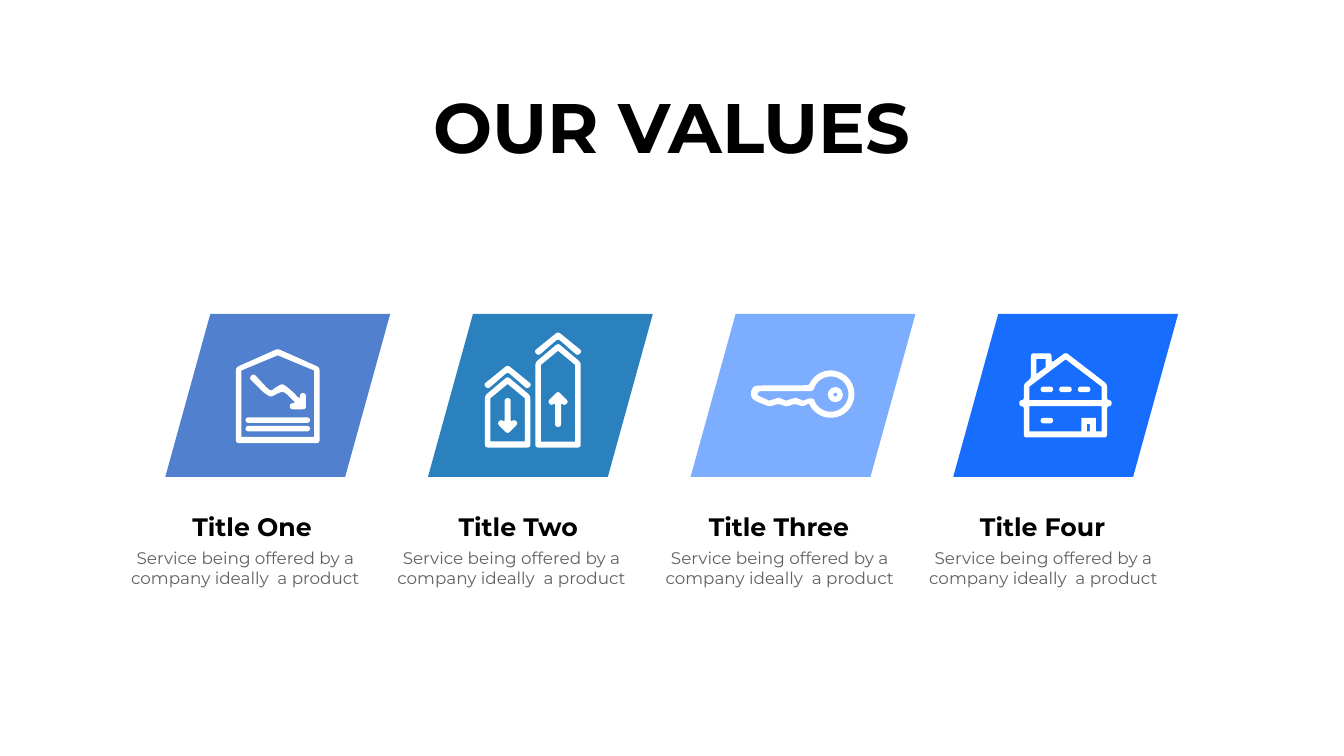
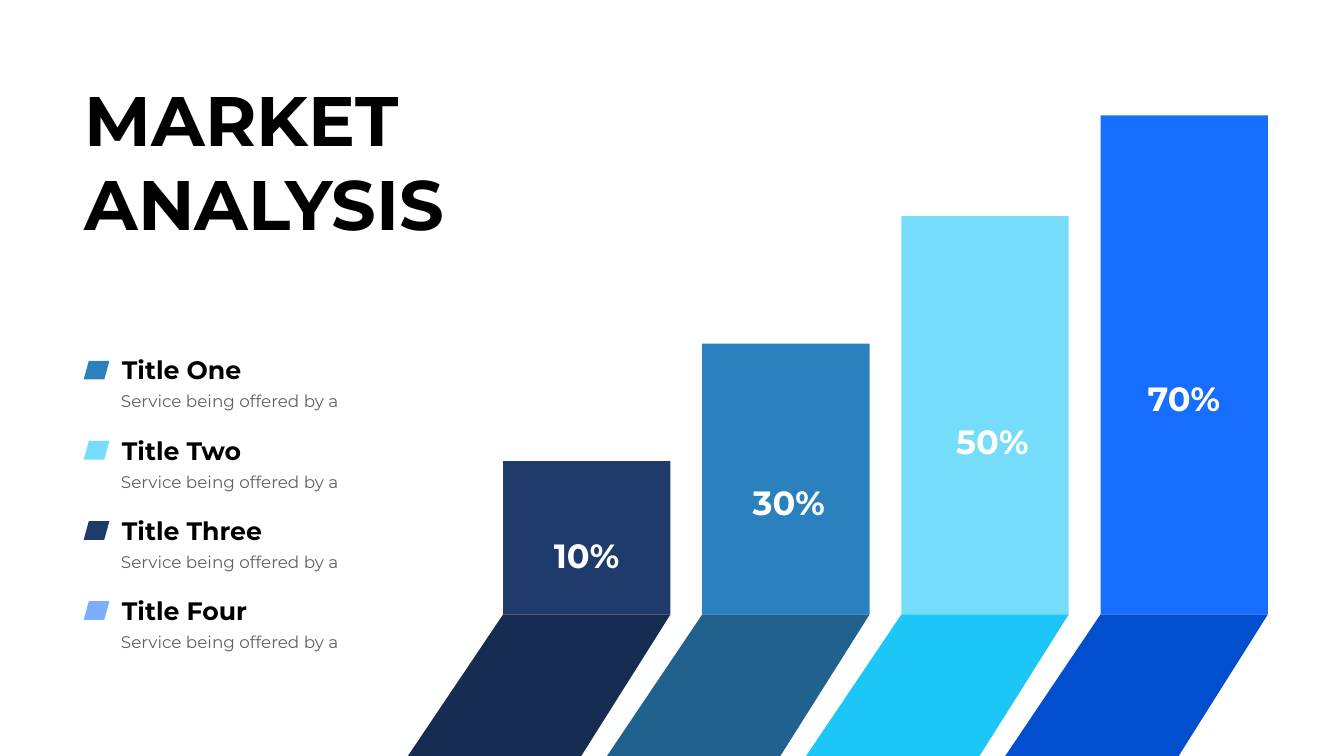
from math import cos, dist, radians, sin

from pptx import Presentation
from pptx.dml.color import RGBColor
from pptx.enum.shapes import MSO_SHAPE as Preset
from pptx.enum.text import MSO_AUTO_SIZE as AutoSize, PP_ALIGN as Align
from pptx.util import Inches, Pt

WIDTH, HEIGHT = 26.66, 15
FONT = "Montserrat"
COLORS = {
    "black": "000000", "white": "FFFFFF", "gray": "606160",
    "indigo": "5080CE", "steel": "2B81BE", "pale": "7CADFE",
    "blue": "176DFE", "sky": "75DCFA", "navy": "1E3B6B",
    "blue_dark": "014ECF", "sky_dark": "1CC6F7",
    "steel_dark": "20618E", "navy_dark": "162C50",
}
NAMES = ["Title One", "Title Two", "Title Three", "Title Four"]
SERVICE = "Service being offered by a"
TILE_LEFT, TILE_TOP, TILE_STEP = 3.28, 6.23, 5.21
TILE_COLORS = ["indigo", "steel", "pale", "blue"]
CORNER = 0.06
DASH = (0.25, 0.11)


def rgb(name):
    return RGBColor.from_string(COLORS[name])


def paint(shape, color):
    shape.shadow.inherit = False
    shape.fill.solid()
    shape.fill.fore_color.rgb = rgb(color)
    shape.line.fill.background()
    return shape


def add_preset(page, preset, place, color):
    return paint(page.shapes.add_shape(preset, *map(Inches, place)), color)


def add_outline(page, contours, color):
    points = [[(Inches(x), Inches(y)) for x, y in contour] for contour in contours]
    builder = page.shapes.build_freeform(*points[0][0], scale=1.0)
    builder.add_line_segments(points[0][1:], close=True)
    for contour in points[1:]:
        builder.move_to(*contour[0])
        builder.add_line_segments(contour[1:], close=True)
    return paint(builder.convert_to_shape(), color)


def add_text(page, place, lines, size, color="black", bold=True,
             align=Align.LEFT, margins=(0.1, 0.05), wrap=True):
    box = page.shapes.add_textbox(*map(Inches, place))
    frame = box.text_frame
    frame.word_wrap = wrap
    frame.auto_size = AutoSize.SHAPE_TO_FIT_TEXT
    frame.margin_left = frame.margin_right = Inches(margins[0])
    frame.margin_top = frame.margin_bottom = Inches(margins[1])
    for index, line in enumerate(lines):
        para = frame.paragraphs[0] if index == 0 else frame.add_paragraph()
        para.text = line
        para.alignment = align
        para.font.name = FONT
        para.font.size = Pt(size)
        para.font.bold = bold
        para.font.color.rgb = rgb(color)


def add_title(page, place, lines, align=Align.LEFT):
    add_text(page, place, lines, 100, align=align)


def add_entry(page, name_place, left, height, name, words, align):
    add_text(page, name_place, [name], 36, align=align)
    add_text(page, (left, name_place[1] + 0.65, 5.53, height), [words], 24,
             "gray", False, align, (0.24, 0.12))


def toward(start, end, length):
    share = length / dist(start, end)
    return tuple(a + (b - a) * share for a, b in zip(start, end))


def rounded(corners, radius=CORNER):
    points = []
    for index, corner in enumerate(corners):
        before, after = corners[index - 1], corners[(index + 1) % len(corners)]
        start = toward(corner, before, min(radius, dist(corner, before) / 2))
        end = toward(corner, after, min(radius, dist(corner, after) / 2))
        for step in range(5):
            t = step / 4
            points.append(tuple(
                (1 - t) ** 2 * a + 2 * t * (1 - t) * c + t ** 2 * b
                for a, c, b in zip(start, corner, end)))
    return points


def arc(center, radius, start, end, steps=40):
    angles = [radians(start + (end - start) * i / steps) for i in range(steps + 1)]
    return [(center[0] + radius * cos(a), center[1] + radius * sin(a)) for a in angles]


class Icon:
    def __init__(self, page, left, top):
        self.page, self.left, self.top = page, left, top

    def outline(self, edge, *holes):
        contours = [rounded(edge), *holes]
        add_outline(self.page, [[(self.left + x, self.top + y) for x, y in contour]
                                for contour in contours], "white")

    def preset(self, preset, x, y, width, height, adjustment):
        shape = add_preset(self.page, preset,
                           (self.left + x, self.top + y, width, height), "white")
        shape.adjustments[0] = adjustment

    def pill(self, x, y, width, height):
        self.preset(Preset.ROUNDED_RECTANGLE, x, y, width, height, 0.5)


def draw_report(icon):
    icon.outline(
        [(1.75, 1.18), (2.02, 1.47), (2.1, 1.53), (2.17, 1.47), (2.32, 1.38),
         (2.47, 1.49), (2.67, 1.69), (2.67, 1.57), (2.79, 1.57), (2.79, 1.89),
         (2.47, 1.89), (2.47, 1.77), (2.59, 1.77), (2.39, 1.57), (2.32, 1.54),
         (2.24, 1.57), (2.09, 1.65), (1.94, 1.55), (1.66, 1.27)])
    for y in (2.05, 2.22):
        icon.pill(1.59, y, 1.28, 0.11)
    icon.outline(
        [(1.4, 1.06), (2.23, 0.69), (3.06, 1.06), (3.06, 2.56), (1.4, 2.56)],
        [(1.51, 2.44), (1.51, 1.12), (2.23, 0.82), (2.95, 1.12), (2.95, 2.44)])


def draw_tower(icon, x, drop):
    icon.outline(
        [(x - 0.45, 0.96 + drop), (x, 0.58 + drop), (x + 0.45, 0.96 + drop),
         (x + 0.45, 2.65), (x - 0.45, 2.65)],
        [(x - 0.34, 2.53), (x - 0.34, 1.01 + drop), (x, 0.73 + drop),
         (x + 0.34, 1.01 + drop), (x + 0.34, 2.53)])
    icon.outline([(x + dx, y + drop) for dx, y in (
        (-0.48, 0.74), (0, 0.35), (0.48, 0.74), (0.39, 0.83), (0, 0.49), (-0.39, 0.83))])


def draw_towers(icon):
    arrow = [(0, 1.53), (0.21, 1.74), (0.13, 1.82), (0.06, 1.76), (0.06, 2.24),
             (-0.06, 2.24), (-0.06, 1.76), (-0.13, 1.82), (-0.21, 1.74)]
    draw_tower(icon, 2.58, 0)
    draw_tower(icon, 1.58, 0.66)
    icon.outline([(1.58 + x, 3.91 - y) for x, y in arrow])
    icon.outline([(2.58 + x, y) for x, y in arrow])


def draw_key(icon):
    center = (2.78, 1.59)
    icon.outline(
        arc(center, 0.47, 202, 518) +
        [(2.24, 1.84), (2.06, 1.78), (1.91, 1.84), (1.73, 1.78), (1.57, 1.84),
         (1.29, 1.73), (1.2, 1.66), (1.2, 1.5), (1.28, 1.42)],
        arc(center, 0.35, 197, 523) +
        [(2.37, 1.67), (2.23, 1.72), (2.08, 1.66), (1.89, 1.72), (1.75, 1.66),
         (1.56, 1.72), (1.34, 1.62), (1.32, 1.58), (1.37, 1.53), (2.4, 1.53)])
    icon.preset(Preset.DONUT, 2.72, 1.45, 0.3, 0.3, 0.37)


def draw_house(icon):
    icon.outline(
        [(1.31, 1.71), (1.4, 1.71), (1.4, 1.39), (1.54, 1.28), (1.54, 0.78),
         (1.95, 0.78), (1.95, 0.97), (2.23, 0.76), (3.05, 1.39), (3.05, 1.71),
         (3.14, 1.71), (3.14, 1.83), (3.05, 1.83), (3.05, 2.45), (1.4, 2.45),
         (1.4, 1.83), (1.31, 1.83)],
        [(1.65, 0.89), (1.83, 0.89), (1.83, 1.06), (1.65, 1.19)],
        [(1.51, 1.71), (1.51, 1.44), (2.23, 0.9), (2.94, 1.44), (2.94, 1.71)],
        [(1.51, 2.33), (1.51, 1.83), (2.94, 1.83), (2.94, 2.33), (2.83, 2.33),
         (2.83, 2.06), (2.54, 2.06), (2.54, 2.33)],
        [(2.65, 2.33), (2.71, 2.33), (2.71, 2.18), (2.65, 2.18)])
    for x, y in ((1.73, 2.06), (1.73, 1.44), (2.1, 1.44), (2.47, 1.44)):
        icon.pill(x, y, *DASH)


def add_bar(page, column, top, color, label, label_left, label_top):
    left, width, base = 9.98 + 3.95 * column, 3.32, 12.19
    add_preset(page, Preset.RECTANGLE, (left, top, width, base - top), color)
    foot = [(left - 1.89, HEIGHT), (left, base), (left + width, base),
            (left + 1.55, HEIGHT)]
    add_outline(page, [foot], color + "_dark")
    add_text(page, (label_left, label_top, 1.65, 0.91), [label], 48, "white",
             align=Align.CENTER, wrap=False)


def add_page(deck):
    page = deck.slides.add_slide(deck.slide_layouts[6])
    page.background.fill.solid()
    page.background.fill.fore_color.rgb = rgb("white")
    return page


def build_values(deck):
    page = add_page(deck)
    add_title(page, (8.46, 1.6, 9.74, 1.78), ["OUR VALUES"], Align.CENTER)
    drawings = [draw_report, draw_towers, draw_key, draw_house]
    text_lefts = [2.1, 7.38, 12.7, 17.93]
    name_places = [(3.65, 2.7), (8.93, 2.7), (13.96, 2.98), (19.19, 2.98)]
    for column, (color, draw) in enumerate(zip(TILE_COLORS, drawings)):
        left = TILE_LEFT + TILE_STEP * column
        add_preset(page, Preset.FLOWCHART_DATA, (left, TILE_TOP, 4.46, 3.23), color)
        draw(Icon(page, left, TILE_TOP))
    for name, left, (name_left, width) in zip(NAMES, text_lefts, name_places):
        add_entry(page, (name_left, 10.1, width, 0.71), left, 1.05, name,
                  SERVICE + " company ideally  a product", Align.CENTER)


def build_market(deck):
    page = add_page(deck)
    add_title(page, (1.58, 1.47, 7.83, 3.47), ["MARKET", "ANALYSIS"])
    for row, (name, color) in enumerate(zip(NAMES, ["steel", "sky", "navy", "pale"])):
        top = 6.99 + 1.59 * row
        add_entry(page, (2.32, top, 3.07, 0.71), 2.16, 0.64, name, SERVICE, Align.LEFT)
        add_preset(page, Preset.FLOWCHART_DATA, (1.66, top + 0.17, 0.51, 0.37), color)
    bars = [(9.15, "navy", "10%", 10.81, 10.57), (6.82, "steel", "30%", 14.82, 9.52),
            (4.29, "sky", "50%", 18.86, 8.3), (2.29, "blue", "70%", 22.66, 7.44)]
    for column, bar in enumerate(bars):
        add_bar(page, column, *bar)


def main():
    deck = Presentation()
    deck.slide_width, deck.slide_height = Inches(WIDTH), Inches(HEIGHT)
    build_values(deck)
    build_market(deck)
    deck.save("out.pptx")


if __name__ == "__main__":
    main()
